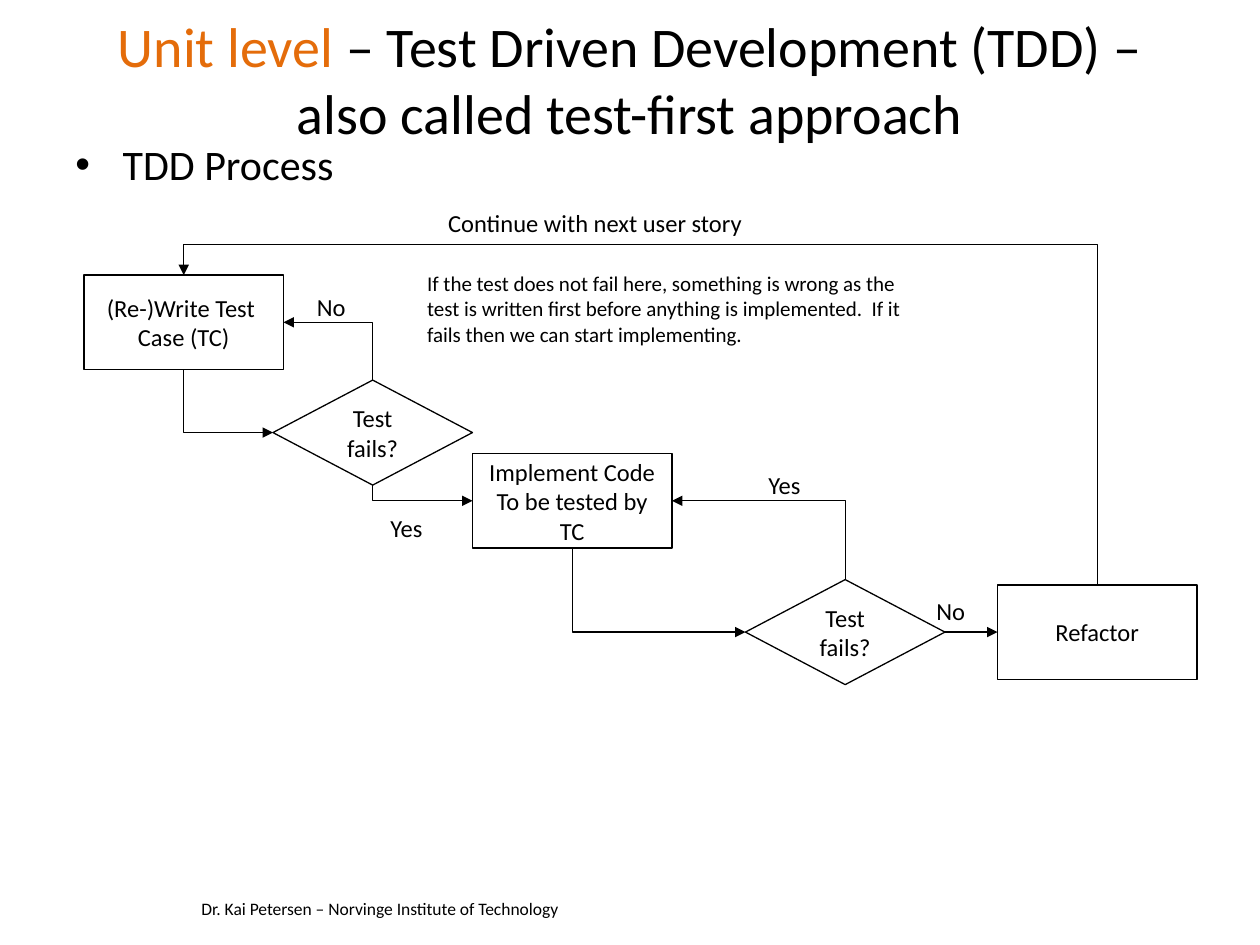
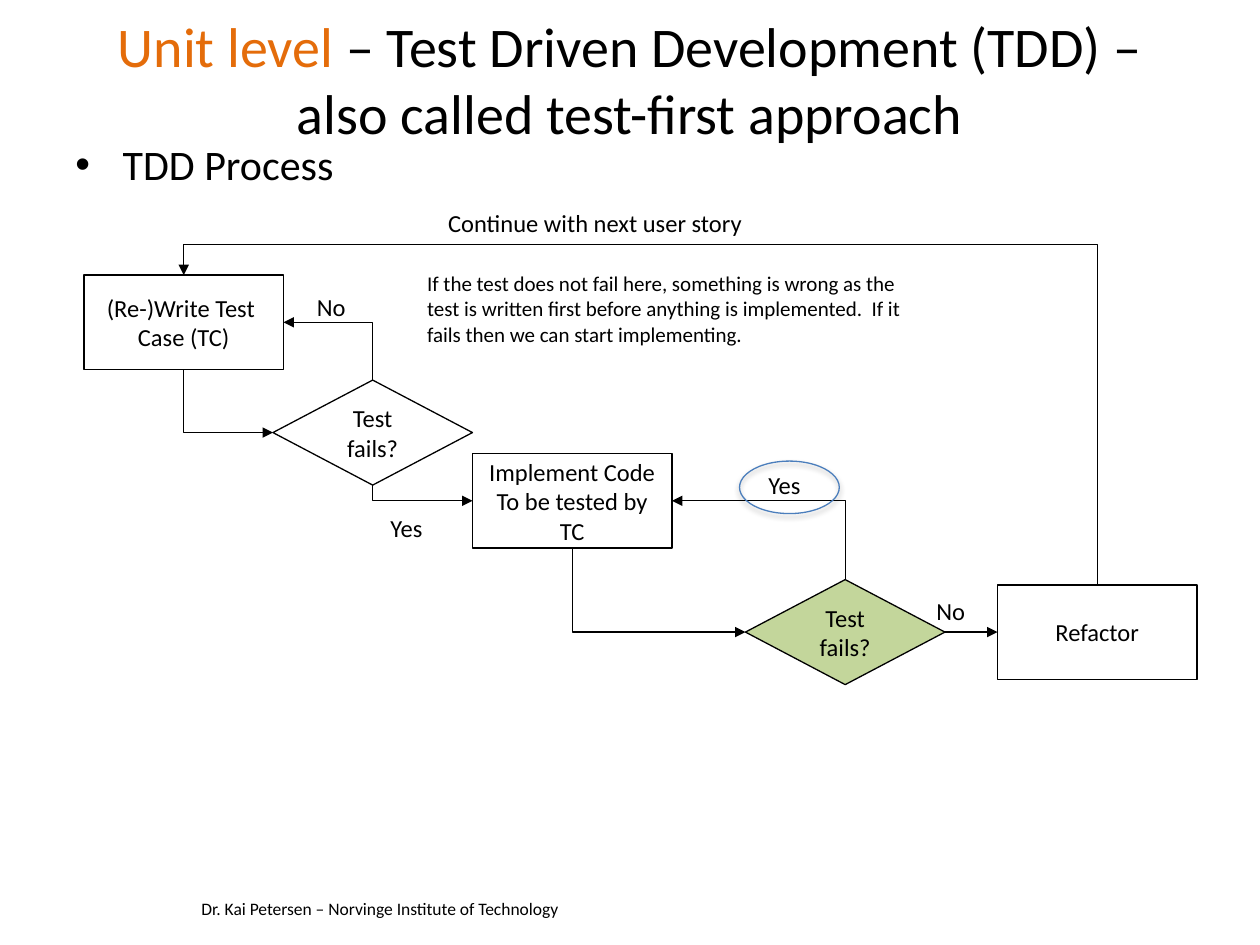
from dataclasses import dataclass

from lxml import etree
from pptx import Presentation
from pptx.dml.color import RGBColor as Color
from pptx.enum.shapes import MSO_CONNECTOR as Link, MSO_SHAPE as Form
from pptx.enum.text import MSO_ANCHOR as Anchor, MSO_AUTO_SIZE as Fit, PP_ALIGN as Align
from pptx.oxml import parse_xml
from pptx.oxml.ns import nsdecls, qn
from pptx.util import Pt


@dataclass(frozen=True)
class Theme:
    font: str = "Calibri"
    ink: str = "000000"
    paper: str = "FFFFFF"
    accent: str = "E46C0A"
    active: str = "C3D69B"
    ring: str = "4B7EBC"
    title: int = 32
    body: int = 24
    label: int = 14
    note: int = 12
    footer: int = 10
    line: float = 0.75


# Connection sites of rectangles and diamonds
TOP, LEFT, BOTTOM, RIGHT = range(4)

FOOTER = "Dr. Kai Petersen – Norvinge Institute of Technology"
NOTE = ("If the test does not fail here, something is wrong as the test is written "
        "first before anything is implemented.  If it fails then we can start "
        "implementing. ")


def write(frame, lines, size, theme, align=Align.LEFT, anchor=Anchor.TOP, wrap=True):
    """Fill a text frame; a line is a string or a list of (text, colour) spans."""
    frame.word_wrap = wrap
    frame.vertical_anchor = anchor
    for number, line in enumerate(lines):
        para = frame.add_paragraph() if number else frame.paragraphs[0]
        para.alignment = align
        for text, colour in [(line, theme.ink)] if isinstance(line, str) else line:
            span = para.add_run()
            span.text = text
            span.font.name = theme.font
            span.font.size = Pt(size)
            span.font.color.rgb = Color.from_string(colour)


class Painter:
    def __init__(self, deck, theme):
        self.deck, self.theme, self.page = deck, theme, None

    def new_page(self):
        self.page = self.deck.slides.add_slide(self.deck.slide_layouts[6])
        self.text(108, 509.8, 412.6, 19.4, [FOOTER], self.theme.footer)

    def text(self, left, top, width, height, lines, size, grow=True, **style):
        box = self.page.shapes.add_textbox(Pt(left), Pt(top), Pt(width), Pt(height))
        write(box.text_frame, lines, size, self.theme, **style)
        box.text_frame.auto_size = Fit.SHAPE_TO_FIT_TEXT if grow else Fit.NONE
        return box

    def title(self, lead, rest):
        spans = [(lead, self.theme.accent), (rest, self.theme.ink)]
        self.text(36, 0, 648, 90, [spans], self.theme.title, grow=False,
                  align=Align.CENTER, anchor=Anchor.MIDDLE)

    def bullet(self, line):
        box = self.text(36, 75.6, 648, 39.6, [line], self.theme.body, grow=False)
        props = box.text_frame.paragraphs[0]._p.get_or_add_pPr()
        props.set("marL", str(Pt(27)))
        props.set("indent", str(-Pt(27)))
        etree.SubElement(props, qn("a:buFont")).set("typeface", "Arial")
        etree.SubElement(props, qn("a:buChar")).set("char", "•")

    def label(self, left, top, width, line):
        self.text(left, top, width, 24, [line], self.theme.label)

    def shape(self, form, left, top, width, height, line, fill=None):
        box = self.page.shapes.add_shape(form, Pt(left), Pt(top), Pt(width), Pt(height))
        box.shadow.inherit = False
        if fill:
            box.fill.solid()
            box.fill.fore_color.rgb = Color.from_string(fill)
        else:
            box.fill.background()
        box.line.color.rgb = Color.from_string(line)
        box.line.width = Pt(self.theme.line)
        return box

    def node(self, form, left, top, height, lines, fill):
        box = self.shape(form, left, top, 114, height, self.theme.ink, fill)
        write(box.text_frame, lines, self.theme.label, self.theme,
              align=Align.CENTER, anchor=Anchor.MIDDLE, wrap=False)
        return box

    def step(self, left, top, *lines):
        return self.node(Form.RECTANGLE, left, top, 54, lines, self.theme.paper)

    def decision(self, left, top, fill):
        return self.node(Form.DIAMOND, left, top, 60, ["Test", "fails?"], fill)

    def arrow(self, start, start_site, end, end_site, kind=Link.STRAIGHT):
        arrow = self.page.shapes.add_connector(kind, 0, 0, 0, 0)
        arrow.begin_connect(start, start_site)
        arrow.end_connect(end, end_site)
        arrow.line.color.rgb = Color.from_string(self.theme.ink)
        arrow.line.width = Pt(self.theme.line)
        tail = etree.SubElement(arrow.line._get_or_add_ln(), qn("a:tailEnd"))
        tail.set("type", "triangle")
        etree.SubElement(arrow._element.spPr, qn("a:effectLst"))
        return arrow

    def elbow(self, start, start_site, end, end_site, reach=None):
        """Leave vertically; turn once, or twice when reach gives the first leg's share."""
        arrow = self.arrow(start, start_site, end, end_site, Link.ELBOW)
        x1, y1, x2, y2 = arrow.begin_x, arrow.begin_y, arrow.end_x, arrow.end_y
        # A quarter turn swaps width and height around the same centre
        across, down = abs(x2 - x1), abs(y2 - y1)
        arrow.left, arrow.top = (x1 + x2 - down) // 2, (y1 + y2 - across) // 2
        arrow.width, arrow.height = down, across
        frame = arrow._element.spPr.find(qn("a:xfrm"))
        frame.set("rot", str((90 if y2 < y1 else 270) * 60000))
        frame.set("flipH", "1")
        frame.set("flipV", "0")
        bend = arrow._element.spPr.find(qn("a:prstGeom"))
        if reach is None:
            bend.set("prst", "bentConnector2")
        else:
            guide = etree.SubElement(bend.find(qn("a:avLst")), qn("a:gd"))
            guide.set("name", "adj1")
            guide.set("fmla", f"val {round(reach * 100000)}")

    def ring(self, left, top, width, height):
        ring = self.shape(Form.OVAL, left, top, width, height, self.theme.ring)
        props = ring._element.spPr
        props.remove(props.find(qn("a:effectLst")))
        props.append(parse_xml(
            f'<a:effectLst {nsdecls("a")}><a:outerShdw blurRad="{Pt(3.1)}" '
            f'dist="{Pt(1.8)}" dir="5400000" rotWithShape="0"><a:srgbClr '
            f'val="{self.theme.ink}"><a:alpha val="35000"/></a:srgbClr>'
            '</a:outerShdw></a:effectLst>'))


def process_page(painter, highlight=False):
    theme = painter.theme
    painter.new_page()
    painter.title("Unit level ",
                  "– Test Driven Development (TDD) – also called test-first approach")
    painter.bullet("TDD Process")

    # Steps and decisions
    case = painter.step(48, 157.2, "(Re-)Write Test ", "Case (TC)")
    code = painter.step(270, 259.2, "Implement Code", "To be tested by", "TC")
    first = painter.decision(156, 217.2, theme.paper)
    second = painter.decision(426, 331.2, theme.active if highlight else theme.paper)
    refactor = painter.step(570, 334.2, "Refactor")

    # Flow
    painter.elbow(case, BOTTOM, first, LEFT)
    painter.elbow(first, TOP, case, RIGHT)
    painter.elbow(first, BOTTOM, code, LEFT)
    painter.elbow(code, BOTTOM, second, LEFT)
    painter.elbow(second, TOP, code, RIGHT)
    painter.arrow(second, RIGHT, refactor, LEFT)
    painter.elbow(refactor, TOP, case, TOP, reach=1.1)

    # Labels
    painter.label(174, 163.4, 36, "No")
    painter.label(216, 289.4, 54, "Yes")
    painter.label(432, 265, 54, "Yes")
    painter.label(528, 337, 54, "No")
    painter.label(249, 115.4, 183, "Continue with next user story")
    painter.text(237, 151.2, 291, 51, [NOTE], theme.note)

    if highlight:
        painter.ring(422.6, 263.5, 57, 30)


deck = Presentation()
deck.slide_width, deck.slide_height = Pt(720), Pt(540)
painter = Painter(deck, Theme())
process_page(painter)
process_page(painter, highlight=True)
deck.save("out.pptx")
